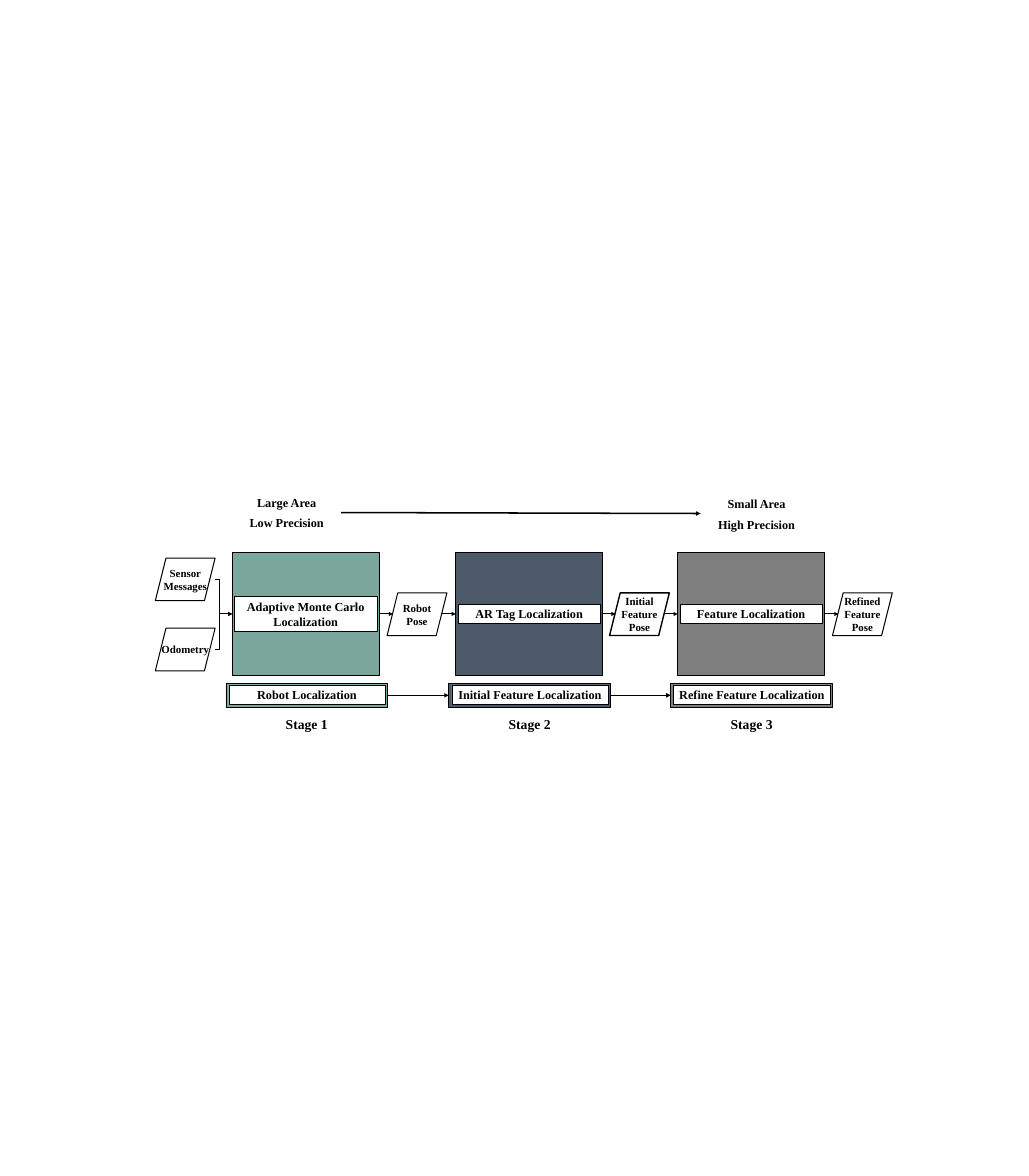
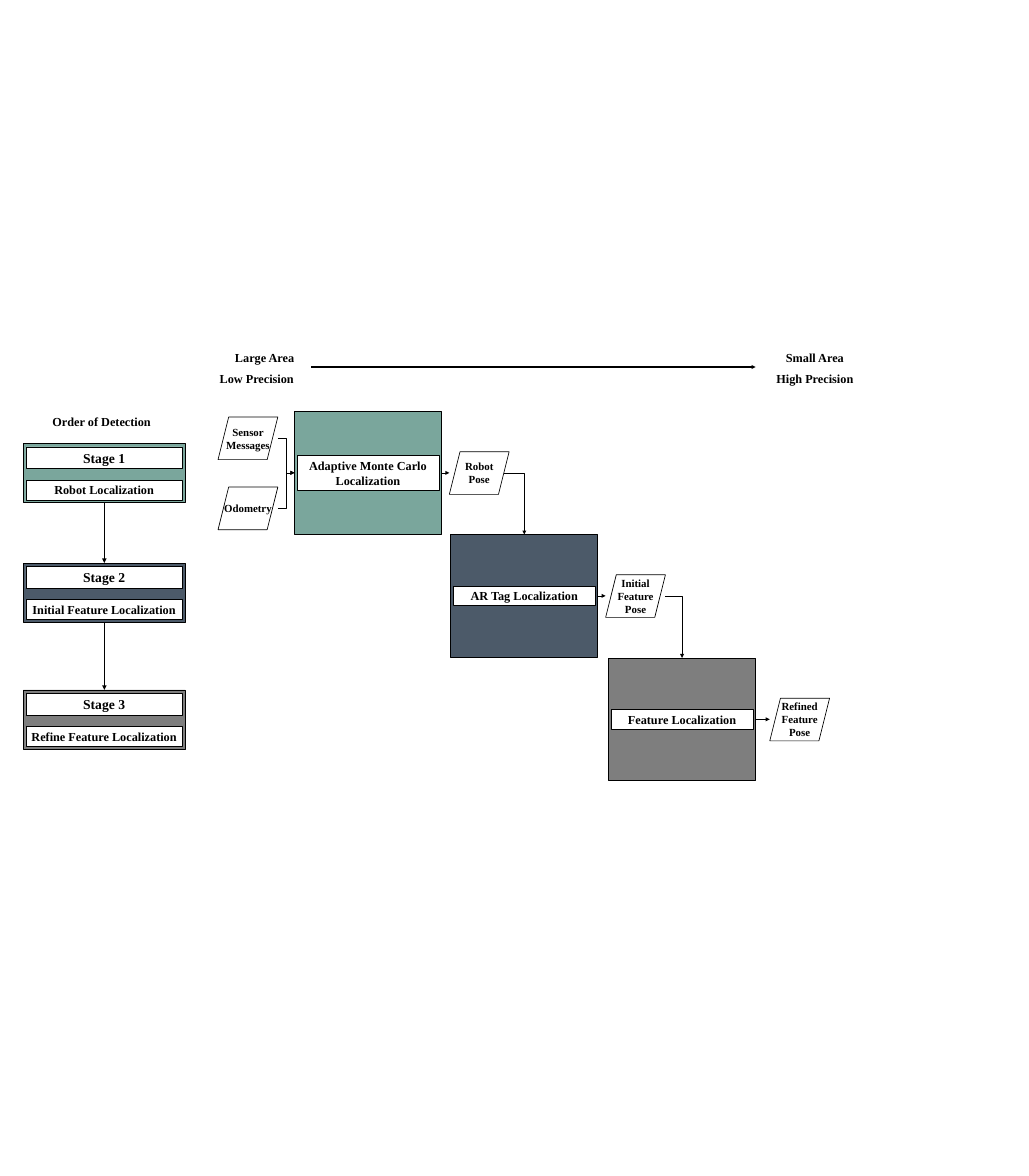
from lxml import etree
from pptx import Presentation
from pptx.dml.color import RGBColor
from pptx.enum.shapes import MSO_CONNECTOR, MSO_SHAPE
from pptx.enum.text import MSO_ANCHOR, PP_ALIGN
from pptx.oxml.ns import qn
from pptx.util import Pt

RECTANGLE = MSO_SHAPE.RECTANGLE
PARALLELOGRAM = MSO_SHAPE.PARALLELOGRAM
STRAIGHT = MSO_CONNECTOR.STRAIGHT
ELBOW = MSO_CONNECTOR.ELBOW
EMU_PER_PX = 9144
COLORS = {"green": "7AA69C", "blue": "4C5A69", "gray": "7E7E7E",
          "white": "FFFFFF", "black": "000000"}
FONT = {"name": "Times New Roman", "bold": True}
FRAME = {"word_wrap": True, "vertical_anchor": MSO_ANCHOR.MIDDLE,
         "margin_top": 0, "margin_bottom": 0}

STAGES = [
    {"name": "Stage 1", "color": "green", "goal": "Robot Localization",
     "method": "Adaptive Monte Carlo Localization", "label_height": 71, "pose": "Robot Pose"},
    {"name": "Stage 2", "color": "blue", "goal": "Initial Feature Localization",
     "method": "AR Tag Localization", "label_height": 40, "pose": "Initial Feature Pose"},
    {"name": "Stage 3", "color": "gray", "goal": "Refine Feature Localization",
     "method": "Feature Localization", "label_height": 40, "pose": "Refined Feature Pose"},
]
INPUTS = [("Sensor Messages", 11), ("Odometry", 154)]
BLOCK_WIDTH, BLOCK_HEIGHT = 300, 250
DATA_WIDTH, DATA_HEIGHT = 122, 87
POSE_DROP = 82
LABEL_WIDTH, GOAL_WIDTH, PANEL_WIDTH = 290, 319, 330
CAPTION_WIDTH, CAPTION_HEIGHT, NAME_HEIGHT = 252, 40, 44

ROW = {
    "blocks": [(474, 1128), (930, 1128), (1383, 1128)],
    "pose_lefts": [790, 1244, 1699], "pose_lines": [1.5, 2, 1.5],
    "pose_entry": 12, "pose_exits": [110, 111],
    "input_left": 317, "input_line": 1.5, "link_line": 1.5,
    "elbow": 27400, "drops": False,
    "captions": [("Large Area", 459, 1005), ("Low Precision", 459, 1047),
                 ("Small Area", 1418, 1007), ("High Precision", 1418, 1050)],
    "trend": ((696, 1046), (1430, 1048), 2.25),
}
STAIRS = {
    "blocks": [(601, 840), (920, 1091), (1242, 1343)],
    "pose_lefts": [917, 1236, 1571], "pose_lines": [1, 1, 1],
    "pose_entry": 0, "pose_exits": [111, 121],
    "input_left": 445, "input_line": 1, "link_line": 0.5,
    "elbow": 50000, "drops": True,
    "captions": [("Large Area", 414, 709), ("Low Precision", 398, 753),
                 ("Small Area", 1537, 709), ("High Precision", 1537, 753)],
    "trend": ((635, 749), (1542, 749), 1.5),
}
BAR_LEFTS, BAR_TOP, BAR_HEIGHT, NAME_TOP = [461, 916, 1369], 1394, 50, 1456
PANEL_LEFT, PANEL_TOPS, PANEL_HEIGHT = 48, [905, 1149, 1408], 121
ORDER_TITLE = ("Order of Detection", 53, 841)


def px(*values):
    return [round(value * EMU_PER_PX) for value in values]


def rgb(name):
    return RGBColor.from_string(COLORS[name])


def set_all(target, values):
    for name, value in values.items():
        setattr(target, name, value)


def write(shape, text, size):
    set_all(shape.text_frame, FRAME)
    para = shape.text_frame.paragraphs[0]
    para.alignment = PP_ALIGN.CENTER
    span = para.add_run()
    span.text = text
    set_all(span.font, {**FONT, "size": Pt(size)})
    span.font.color.rgb = rgb("black")


def add_text(page, rect, text, size=18):
    write(page.shapes.add_textbox(*px(*rect)), text, size)


def add_box(page, rect, fill=None, line=1, kind=RECTANGLE):
    box = page.shapes.add_shape(kind, *px(*rect))
    box.shadow.inherit = False
    if fill:
        box.fill.solid()
        box.fill.fore_color.rgb = rgb(fill)
    else:
        box.fill.background()
    box.line.color.rgb = rgb("black")
    box.line.width = Pt(line)
    return box


def add_label(page, rect, text, size=18):
    write(add_box(page, rect, "white", 0.75), text, size)


def add_data(page, left, top, text, line):
    rect = (left, top, DATA_WIDTH, DATA_HEIGHT)
    add_box(page, rect, line=line, kind=PARALLELOGRAM)
    add_text(page, rect, text, 16)


def add_arrow(page, start, end, width, kind=STRAIGHT, elbow=None, corner=False):
    arrow = page.shapes.add_connector(kind, *px(*start, *end))
    arrow.line.color.rgb = rgb("black")
    arrow.line.width = Pt(width)
    properties = arrow._element.spPr
    etree.SubElement(arrow.line._get_or_add_ln(), qn("a:tailEnd"), type="triangle")
    etree.SubElement(properties, qn("a:effectLst"))
    geometry = properties.find(qn("a:prstGeom"))
    if corner:
        geometry.set("prst", "bentConnector2")
    if elbow:
        guides = geometry.find(qn("a:avLst"))
        etree.SubElement(guides, qn("a:gd"), name="adj1", fmla=f"val {elbow}")


def draw_inputs(page, flow):
    left, top = flow["blocks"][0]
    for text, offset in INPUTS:
        add_data(page, flow["input_left"], top + offset, text, flow["input_line"])
        start = (flow["input_left"] + DATA_WIDTH, top + offset + DATA_HEIGHT // 2)
        add_arrow(page, start, (left, top + BLOCK_HEIGHT // 2), flow["link_line"],
                  ELBOW, elbow=flow["elbow"])


def draw_flow(page, flow):
    width = flow["link_line"]
    for index, (stage, (left, top)) in enumerate(zip(STAGES, flow["blocks"])):
        middle = top + BLOCK_HEIGHT // 2
        height = stage["label_height"]
        add_box(page, (left, top, BLOCK_WIDTH, BLOCK_HEIGHT), stage["color"])
        add_label(page, (left + 5, middle - height / 2, LABEL_WIDTH, height), stage["method"])
        pose_left = flow["pose_lefts"][index]
        add_data(page, pose_left, top + POSE_DROP, stage["pose"], flow["pose_lines"][index])
        add_arrow(page, (left + BLOCK_WIDTH, middle),
                  (pose_left + flow["pose_entry"], middle), width)
        if index < len(flow["pose_exits"]):
            start = (pose_left + flow["pose_exits"][index], middle)
            next_left, next_top = flow["blocks"][index + 1]
            if flow["drops"]:
                end = (next_left + BLOCK_WIDTH // 2, next_top)
                add_arrow(page, start, end, width, ELBOW, corner=True)
            else:
                add_arrow(page, start, (next_left, middle), width)
    draw_inputs(page, flow)
    for text, left, top in flow["captions"]:
        add_text(page, (left, top, CAPTION_WIDTH, CAPTION_HEIGHT), text)
    add_arrow(page, *flow["trend"])


def draw_stage_bars(page):
    middle = BAR_TOP + BAR_HEIGHT // 2
    for stage, left in zip(STAGES, BAR_LEFTS):
        add_box(page, (left, BAR_TOP, PANEL_WIDTH, BAR_HEIGHT), stage["color"])
        add_label(page, (left + 6, BAR_TOP + 4, GOAL_WIDTH, CAPTION_HEIGHT), stage["goal"])
        add_text(page, (left, NAME_TOP, PANEL_WIDTH, NAME_HEIGHT), stage["name"], 20)
    for left, following in zip(BAR_LEFTS, BAR_LEFTS[1:]):
        add_arrow(page, (left + PANEL_WIDTH, middle), (following, middle), 2.25)


def draw_stage_panels(page):
    text, left, top = ORDER_TITLE
    add_text(page, (left - 5, top, GOAL_WIDTH, CAPTION_HEIGHT), text)
    for stage, top in zip(STAGES, PANEL_TOPS):
        add_box(page, (PANEL_LEFT, top, PANEL_WIDTH, PANEL_HEIGHT), stage["color"])
        add_label(page, (left, top + 7, GOAL_WIDTH, NAME_HEIGHT), stage["name"], 20)
        add_label(page, (left, top + 75, GOAL_WIDTH, CAPTION_HEIGHT), stage["goal"])
    center = PANEL_LEFT + PANEL_WIDTH // 2
    for top, following in zip(PANEL_TOPS, PANEL_TOPS[1:]):
        add_arrow(page, (center, top + PANEL_HEIGHT), (center, following), 2.25)


def main():
    deck = Presentation()
    deck.slide_width, deck.slide_height = px(2100, 2400)
    for flow, draw_stages in [(ROW, draw_stage_bars), (STAIRS, draw_stage_panels)]:
        page = deck.slides.add_slide(deck.slide_layouts[6])
        draw_flow(page, flow)
        draw_stages(page)
    deck.save("out.pptx")


if __name__ == "__main__":
    main()
